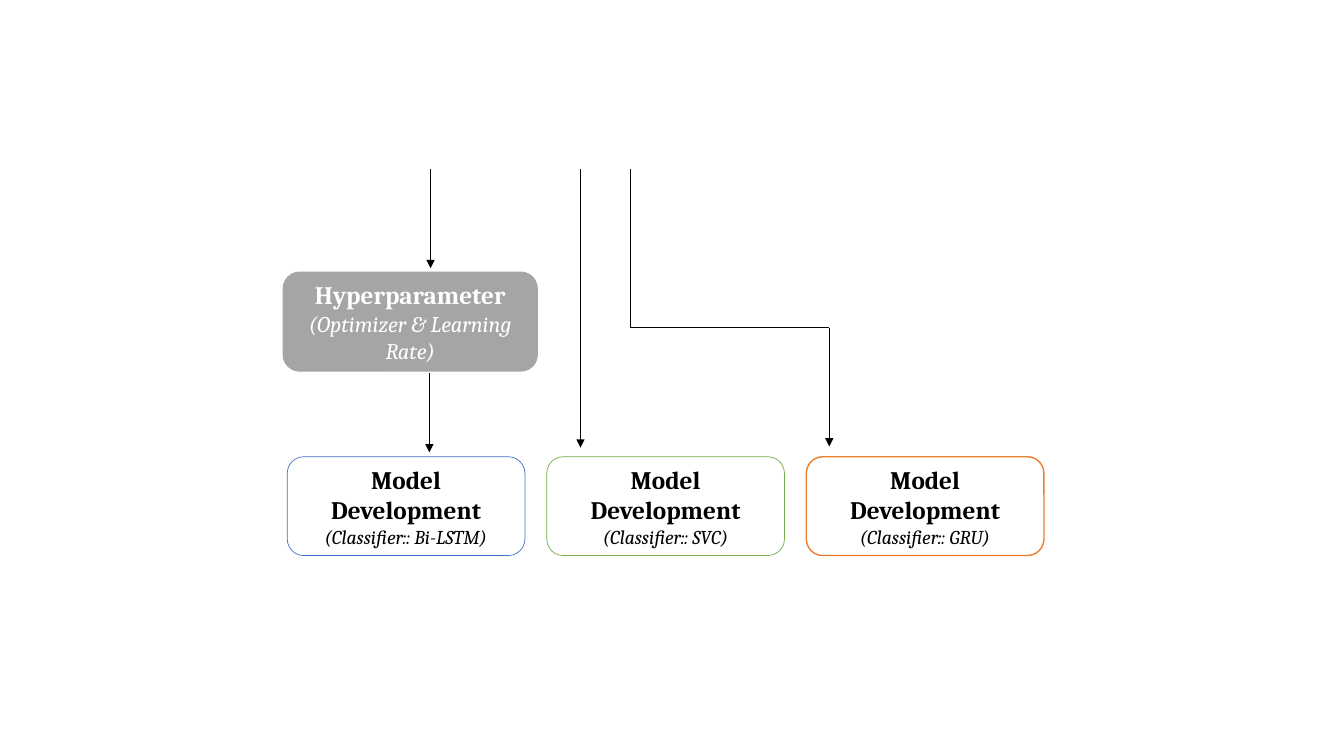
from lxml import etree
from pptx import Presentation
from pptx import util as u
from pptx.dml.color import RGBColor
from pptx.enum import shapes, text
from pptx.oxml.ns import qn

FONT = "Cambria"
BLACK, WHITE = "000000", "FFFFFF"
TITLE = {"size": u.Pt(18), "bold": True, "italic": False}
DETAIL = {"bold": False, "italic": True}


def paint(target, colour):
    """Give a fill a solid colour."""
    target.solid()
    target.fore_color.rgb = RGBColor.from_string(colour)


def add_line(para, words, formats, colour):
    span = para.add_run()
    span.text = words
    span.font.name = FONT
    for name, value in formats.items():
        setattr(span.font, name, value)
    paint(span.font.fill, colour)
    para.alignment = text.PP_ALIGN.CENTER


def add_box(page, place, title, detail, detail_size, fill, border, weight, ink):
    """Rounded box with a bold title above an italic detail."""
    box = page.shapes.add_shape(
        shapes.MSO_SHAPE.ROUNDED_RECTANGLE, *(u.Cm(length) for length in place))
    box.shadow.inherit = False
    paint(box.fill, fill)
    paint(box.line.fill, border)
    box.line.width = u.Pt(weight)
    frame = box.text_frame
    frame.word_wrap = True
    frame.vertical_anchor = text.MSO_ANCHOR.MIDDLE
    add_line(frame.paragraphs[0], title, TITLE, ink)
    add_line(frame.add_paragraph(), detail,
             {**DETAIL, "size": u.Pt(detail_size)}, ink)


def add_flow(page, start, end, arrow=True):
    """Thin straight line, with an arrowhead at its end if wanted."""
    flow = page.shapes.add_connector(
        shapes.MSO_CONNECTOR.STRAIGHT, *(u.Cm(length) for length in start + end))
    paint(flow.line.fill, BLACK)
    flow.line.width = u.Pt(0.5)
    if arrow:
        etree.SubElement(flow.line._get_or_add_ln(), qn("a:tailEnd"), type="triangle")
    etree.SubElement(flow._element.spPr, qn("a:effectLst"))


def main():
    deck = Presentation()
    deck.slide_width, deck.slide_height = u.Cm(33.87), u.Cm(19.05)
    page = deck.slides.add_slide(deck.slide_layouts[6])

    # Hyperparameter step
    add_box(page, (7.14, 6.86, 6.4, 2.49), "Hyperparameter",
            "(Optimizer & Learning Rate)", 16, "A5A5A5", "A6A6A6", 1, WHITE)

    # Row of models
    models = [("Bi-LSTM", "4472C4", 0.5), ("SVC", "70AD47", 0.5), ("GRU", "ED7D31", 1)]
    for column, (classifier, border, weight) in enumerate(models):
        add_box(page, (7.24 + column * 6.54, 11.51, 5.99, 2.49), "Model Development",
                f"(Classifier:: {classifier})", 14, WHITE, border, weight, BLACK)

    # Flow into the Bi-LSTM model, through the hyperparameters
    top = 4.27
    add_flow(page, (10.85, top), (10.85, 6.76))
    add_flow(page, (10.82, 9.4), (10.82, 11.4))

    # Flow into the SVC model
    add_flow(page, (14.63, top), (14.63, 11.28))

    # Stepped flow into the GRU model
    bend, corner = (15.88, 8.26), (20.9, 8.26)
    add_flow(page, (15.88, top), bend, arrow=False)
    add_flow(page, bend, corner, arrow=False)
    add_flow(page, corner, (20.9, 11.25))

    deck.save("out.pptx")


if __name__ == "__main__":
    main()
